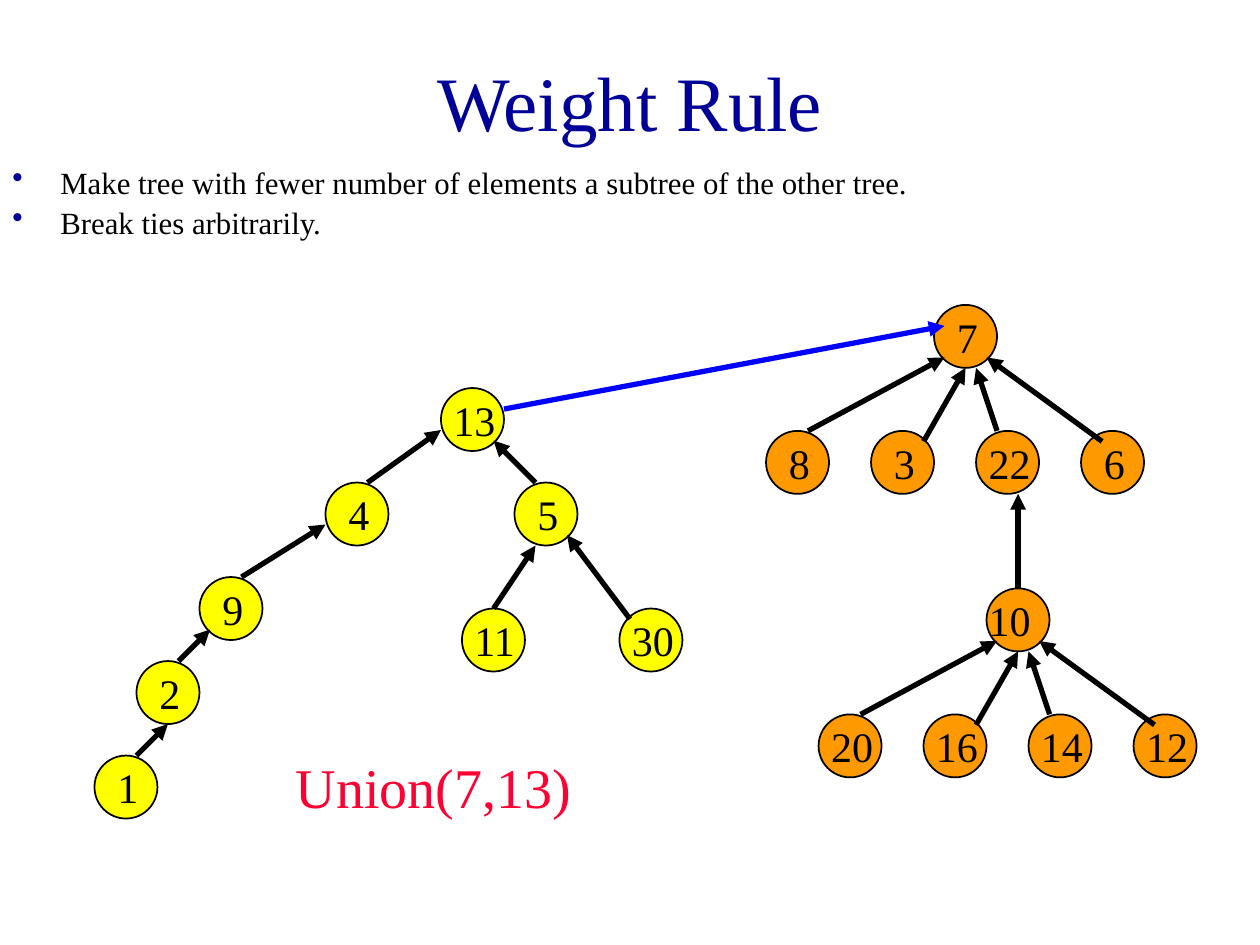
from dataclasses import dataclass

from lxml.etree import SubElement
from pptx import Presentation
from pptx.dml.color import RGBColor
from pptx.enum.shapes import MSO_CONNECTOR, MSO_SHAPE
from pptx.enum.text import MSO_ANCHOR, PP_ALIGN
from pptx.oxml.ns import qn
from pptx.util import Inches, Pt


@dataclass(frozen=True)
class Theme:
    font: str = "Times New Roman"
    title_color: str = "000099"
    text_color: str = "000000"
    accent_color: str = "FF0033"
    union_arrow_color: str = "0000FF"
    left_tree_color: str = "FFFF00"
    right_tree_color: str = "FF9900"
    title_size: float = 44
    body_size: float = 17.6
    node_size: float = 24
    caption_size: float = 32
    outline_width: float = 1
    arrow_width: float = 3


THEME = Theme()
GRID = Inches(1) // 12  # every node and arrow sits on this grid
NODE_CELLS = 6

# Node positions are in grid cells from the tree's corner.
# Edges are (child, start cell in child, parent, tip cell in parent).
LEFT_NODES = {
    "13": (33, 0), "4": (22, 9), "5": (40, 9), "9": (10, 18),
    "11": (35, 21), "30": (50, 21), "2": (4, 26), "1": (0, 35),
}
LEFT_EDGES = [
    ("4", (4, 0), "13", (0, 4)),
    ("9", (4, 0), "4", (0, 4)),
    ("5", (2, 0), "13", (5, 5)),
    ("2", (4, 0), "9", (1, 5)),
    ("11", (3, 0), "5", (2, 6)),
    ("30", (1, 1), "5", (5, 5)),
    ("1", (4, 0), "2", (3, 6)),
]


def child_row(labels, left, top):
    return {label: (left + 10 * index, top) for index, label in enumerate(labels)}


def fan_edges(labels, parent):
    """Edges from a row of four children up to their parent."""
    starts = [(4, 0), (5, 1), (2, 0), (2, 1)]
    tips = [(1, 5), (3, 6), (4, 6), (5, 5)]
    return [(label, start, parent, tip)
            for label, start, tip in zip(labels, starts, tips)]


UPPER_ROW = ["8", "3", "22", "6"]
LOWER_ROW = ["20", "16", "14", "12"]
RIGHT_NODES = {
    "7": (16, 0), **child_row(UPPER_ROW, 0, 12),
    "10": (21, 27), **child_row(LOWER_ROW, 5, 39),
}
RIGHT_EDGES = [
    *fan_edges(UPPER_ROW, "7"),
    *fan_edges(LOWER_ROW, "10"),
    ("10", (3, 0), "22", (4, 6)),
]


def rgb(color):
    return RGBColor.from_string(color)


def add_run(paragraph, text, size, color):
    run = paragraph.add_run()
    run.text = text
    run.font.name = THEME.font
    run.font.size = Pt(size)
    run.font.color.rgb = rgb(color)


def add_text(shapes, box, text, size, color):
    text_box = shapes.add_textbox(*box)
    text_box.text_frame.word_wrap = True
    add_run(text_box.text_frame.paragraphs[0], text, size, color)
    return text_box.text_frame


def add_title(slide, box):
    frame = add_text(slide.shapes, box, "Weight Rule", THEME.title_size, THEME.title_color)
    frame.vertical_anchor = MSO_ANCHOR.MIDDLE
    frame.paragraphs[0].alignment = PP_ALIGN.CENTER


def add_bullet(paragraph):
    properties = paragraph._p.get_or_add_pPr()
    properties.set("marL", str(Inches(0.38)))
    properties.set("indent", str(-Inches(0.38)))
    bullet_color = SubElement(properties, qn("a:buClr"))
    SubElement(bullet_color, qn("a:srgbClr"), val=THEME.title_color)
    SubElement(properties, qn("a:buChar"), char="•")


def add_rules(slide, box):
    rules = [
        "Make tree with fewer number of elements a subtree of the other tree.",
        "Break ties arbitrarily.",
    ]
    frame = slide.shapes.add_textbox(*box).text_frame
    frame.word_wrap = True
    for index, rule in enumerate(rules):
        paragraph = frame.add_paragraph() if index else frame.paragraphs[0]
        add_bullet(paragraph)
        paragraph.line_spacing = 0.7
        if index:
            paragraph.space_before = Pt(8)
        add_run(paragraph, rule, THEME.body_size, THEME.text_color)


def add_arrow(shapes, start, tip, color):
    arrow = shapes.add_connector(MSO_CONNECTOR.STRAIGHT, *start, *tip)
    arrow.line.color.rgb = rgb(color)
    arrow.line.width = Pt(THEME.arrow_width)
    SubElement(arrow.line._get_or_add_ln(), qn("a:tailEnd"), type="triangle")
    SubElement(arrow._element.spPr, qn("a:effectLst"))


def add_node(shapes, label, left, top, color):
    side = NODE_CELLS * GRID
    circle = shapes.add_shape(MSO_SHAPE.OVAL, left, top, side, side)
    circle.shadow.inherit = False
    circle.fill.solid()
    circle.fill.fore_color.rgb = rgb(color)
    circle.line.color.rgb = rgb(THEME.text_color)
    circle.line.width = Pt(THEME.outline_width)
    one_digit = len(label) == 1
    shift = 1 if one_digit else -1 if label == "10" else 0
    width = Inches(0.33 if one_digit else 0.75)
    add_text(shapes, (left + shift * GRID, top, width, side), label,
             THEME.node_size, THEME.text_color)


def add_tree(slide, left, top, nodes, edges, color):
    """Draw a tree and return a function that locates a cell inside a node."""
    def locate(label, cell=(0, 0)):
        column, row = nodes[label]
        return left + (column + cell[0]) * GRID, top + (row + cell[1]) * GRID

    shapes = slide.shapes.add_group_shape().shapes
    for label in nodes:
        add_node(shapes, label, *locate(label), color)
    for child, start, parent, tip in edges:
        add_arrow(shapes, locate(child, start), locate(parent, tip), THEME.text_color)
    return locate


def main():
    presentation = Presentation()
    presentation.slide_width = Inches(10)
    presentation.slide_height = Inches(7.5)
    slide = presentation.slides.add_slide(presentation.slide_layouts[6])

    add_title(slide, (Inches(0.75), Inches(0.17), Inches(8.5), Inches(1.25)))
    add_rules(slide, (Inches(0), Inches(1.33), Inches(9.75), Inches(0.67)))
    left_cell = add_tree(slide, Inches(0.75), Inches(3.08),
                         LEFT_NODES, LEFT_EDGES, THEME.left_tree_color)
    right_cell = add_tree(slide, Inches(6.08), Inches(2.42),
                          RIGHT_NODES, RIGHT_EDGES, THEME.right_tree_color)
    add_text(slide.shapes, (Inches(2.25), Inches(5.92), Inches(2.58), Inches(0.64)),
             "Union(7,13)", THEME.caption_size, THEME.accent_color)
    add_arrow(slide.shapes, left_cell("13", (6, 2)), right_cell("7", (1, 2)),
              THEME.union_arrow_color)
    presentation.save("out.pptx")


if __name__ == "__main__":
    main()
